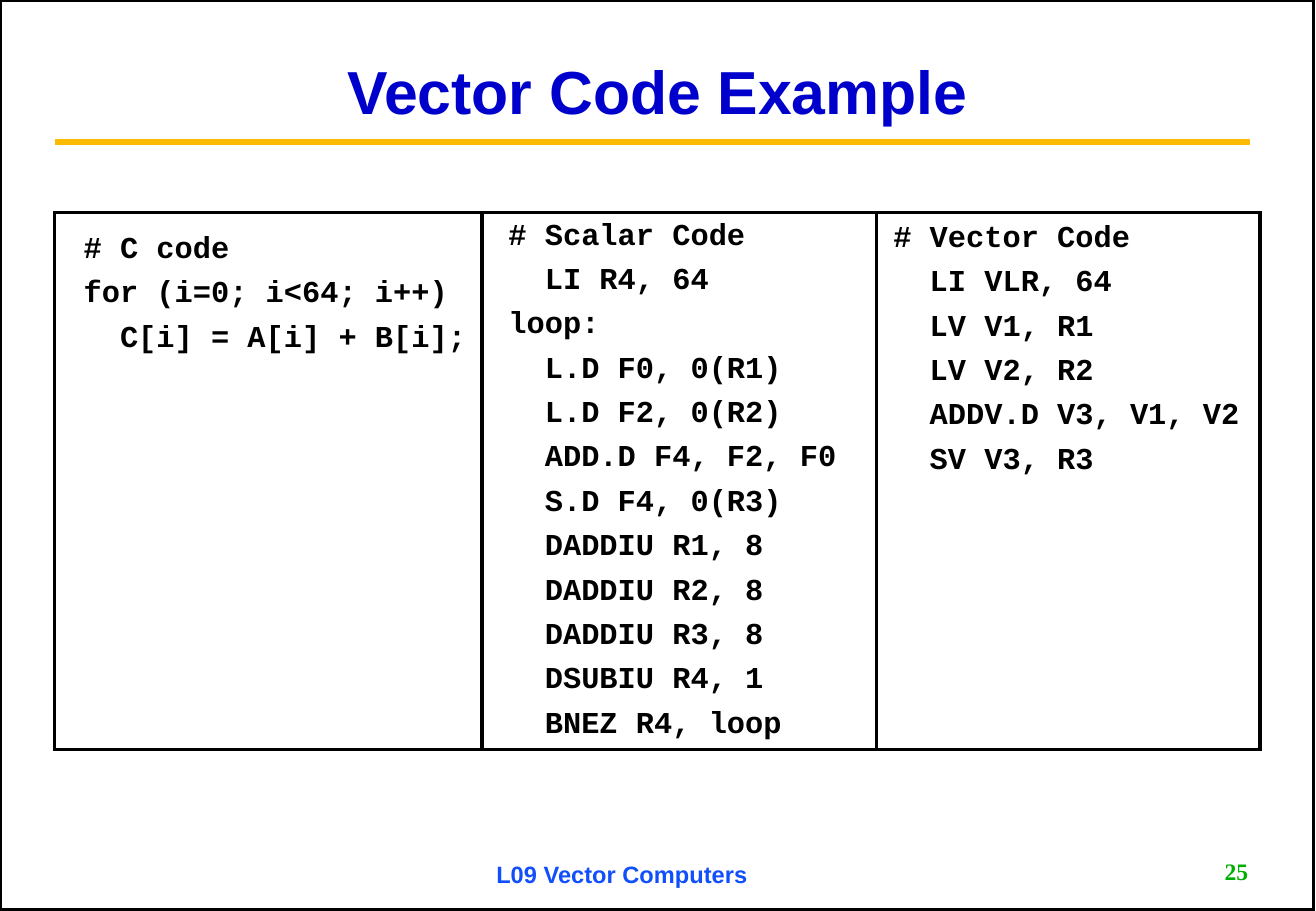
from pptx import Presentation
from pptx.dml.color import RGBColor
from pptx.enum.shapes import MSO_CONNECTOR, MSO_SHAPE
from pptx.enum.text import MSO_ANCHOR, MSO_AUTO_SIZE, PP_ALIGN
from pptx.oxml.ns import qn
from pptx.util import Inches, Pt

COLORS = {
    "ink": "000000",
    "paper": "FFFFFF",
    "title": "0000CC",
    "rule": "FBBA03",
    "footer": "114FFB",
    "number": "00AE00",
}
WIDTH, HEIGHT = 10.84, 7.5
LEFT, RIGHT = 0.45, 10.38
CHAR_WIDTH, LINE_PITCH = 0.15, 0.36
PANELS = [
    (3.52, 0.14, 0.16, """# C code
for (i=0; i<64; i++)
  C[i] = A[i] + B[i];"""),
    (3.25, 0.12, 0.05, """# Scalar Code
  LI R4, 64
loop:
  L.D F0, 0(R1)
  L.D F2, 0(R2)
  ADD.D F4, F2, F0
  S.D F4, 0(R3)
  DADDIU R1, 8
  DADDIU R2, 8
  DADDIU R3, 8
  DSUBIU R4, 1
  BNEZ R4, loop"""),
    (3.16, 0.04, 0.07, """# Vector Code
  LI VLR, 64
  LV V1, R1
  LV V2, R2
  ADDV.D V3, V1, V2
  SV V3, R3"""),
]


def rgb(name):
    return RGBColor.from_string(COLORS[name])


def inches(*lengths):
    return [Inches(length) for length in lengths]


def write(sp, text, size, font="Arial", color="ink", align=PP_ALIGN.LEFT,
          anchor=MSO_ANCHOR.TOP, spacing=1.0, before=0, wrap=True):
    tf = sp.text_frame
    tf.word_wrap = wrap
    tf.auto_size = MSO_AUTO_SIZE.NONE
    tf.vertical_anchor = anchor
    for i, line in enumerate(text.split("\n")):
        p = tf.paragraphs[0] if i == 0 else tf.add_paragraph()
        p.alignment = align
        p.line_spacing = spacing
        p.space_before = Pt(before if i else 0)
        r = p.add_run()
        r.text = line
        r.font.name = font
        r.font.size = Pt(size)
        r.font.bold = True
        r.font.color.rgb = rgb(color)


def add_box(s, x, y, w, h, fill=None):
    sp = s.shapes.add_shape(MSO_SHAPE.RECTANGLE, *inches(x, y, w, h))
    sp.shadow.inherit = False
    if fill:
        sp.fill.solid()
        sp.fill.fore_color.rgb = rgb(fill)
    else:
        sp.fill.background()
    sp.line.color.rgb = rgb("ink")
    sp.line.width = Pt(2)
    ln = sp._element.spPr.find(qn("a:ln"))
    ln.append(ln.makeelement(qn("a:miter"), {"lim": "800000"}))


def add_header(s, x, y, w, h):
    rule = s.shapes.add_connector(MSO_CONNECTOR.STRAIGHT, *inches(LEFT, 1.17, 10.3, 1.17))
    rule.line.color.rgb = rgb("rule")
    rule.line.width = Pt(3.75)
    sp_pr = rule._element.spPr
    sp_pr.append(sp_pr.makeelement(qn("a:effectLst"), {}))
    title = s.shapes.title
    title.left, title.top, title.width, title.height = inches(x, y, w, h)
    write(title, "Vector Code Example", 36, color="title", align=PP_ALIGN.CENTER,
          anchor=MSO_ANCHOR.MIDDLE, spacing=0.9)


def add_panel(s, x, y, w, h, indent, drop, code):
    add_box(s, x, y, w, h, fill="paper")
    lines = code.split("\n")
    text_w = max(map(len, lines)) * CHAR_WIDTH + 0.2
    sp = s.shapes.add_textbox(*inches(x + indent, y + drop, text_w, len(lines) * LINE_PITCH))
    write(sp, code, 18, font="Courier New", spacing=0.7, before=11.2, wrap=False)


def add_panels(s, x, y, h):
    for w, indent, drop, code in PANELS:
        add_panel(s, x, y, w, h, indent, drop, code)
        x += w


def add_footer(s, y, h):
    number = s.shapes.add_textbox(*inches(RIGHT - 2.08, y, 2.08, h))
    write(number, "25", 14, font="Times New Roman", color="number",
          align=PP_ALIGN.RIGHT, anchor=MSO_ANCHOR.MIDDLE)
    label = s.shapes.add_textbox(*inches(3.99, y + 0.02, 3.17, h))
    write(label, "L09 Vector Computers", 14, color="footer")


def main():
    prs = Presentation()
    prs.slide_width, prs.slide_height = inches(WIDTH, HEIGHT)
    s = prs.slides.add_slide(prs.slide_layouts[5])
    s.background.fill.solid()
    s.background.fill.fore_color.rgb = rgb("paper")
    add_box(s, 0, 0, WIDTH - 0.02, HEIGHT - 0.01)
    add_header(s, 1.17, 0.25, 8.49, 1.06)
    add_panels(s, LEFT, 1.75, 4.42)
    add_footer(s, 7.01, 0.32)
    prs.save("out.pptx")


if __name__ == "__main__":
    main()
